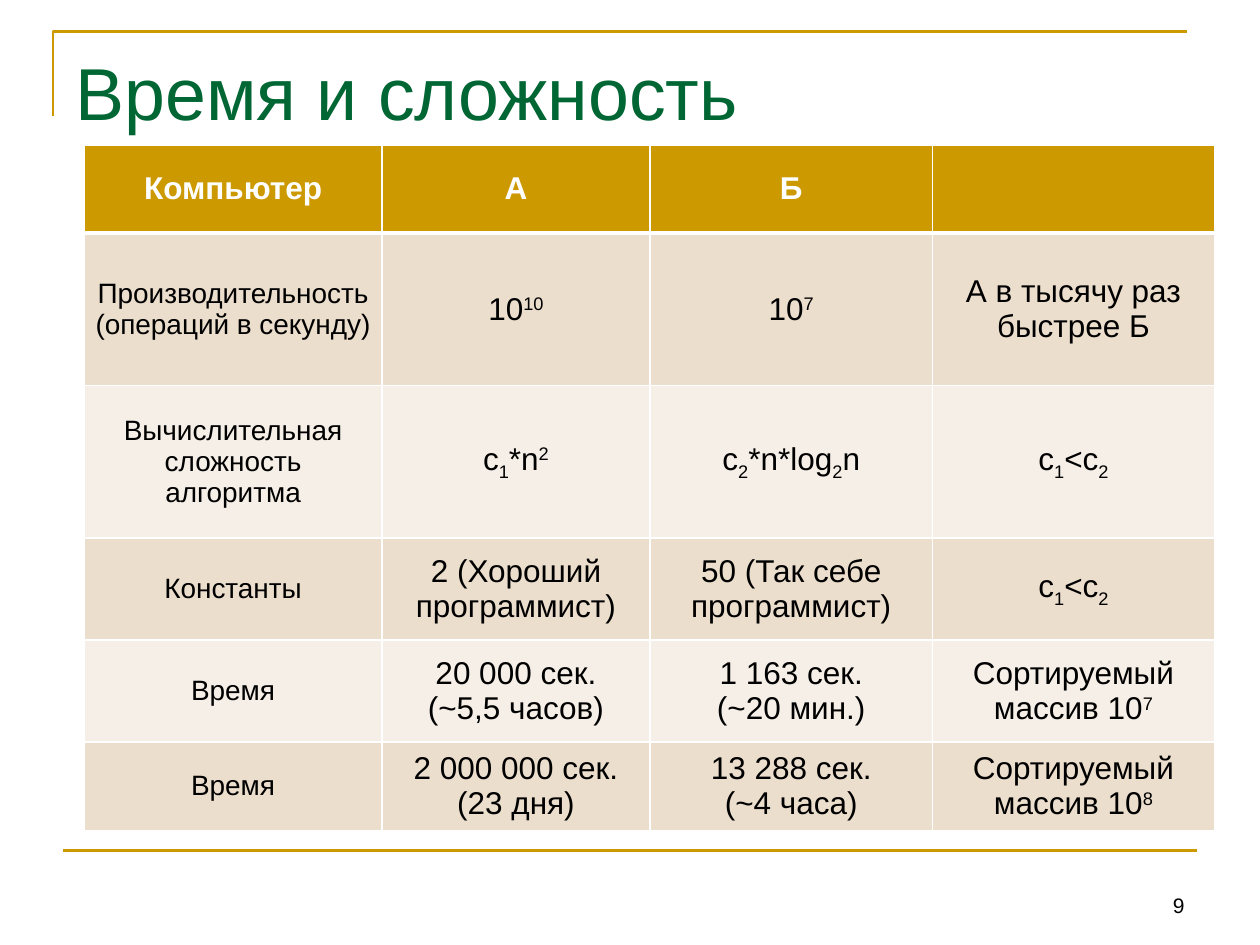
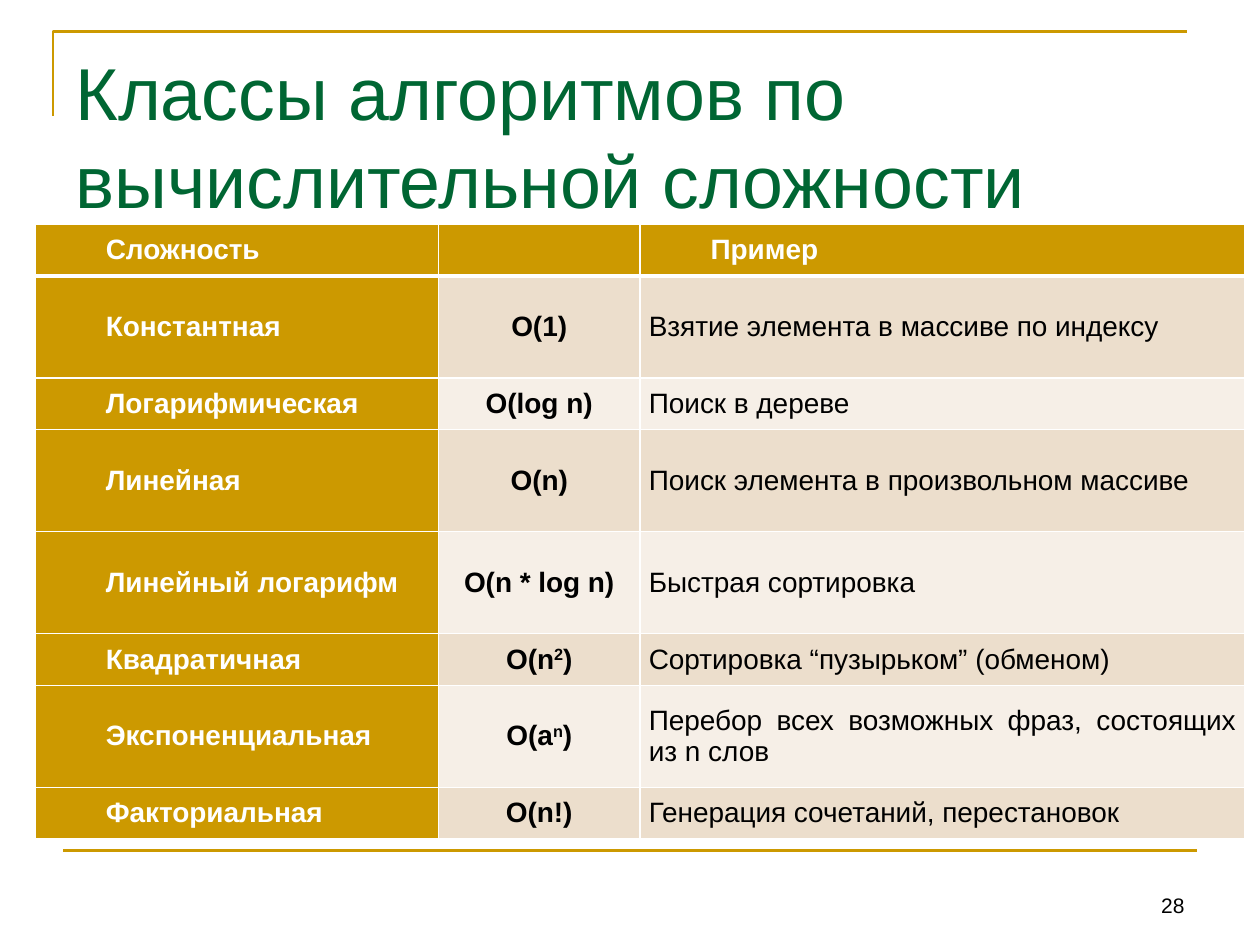
from dataclasses import dataclass
from typing import Optional

import lxml.etree
import pptx
import pptx.dml.color
import pptx.enum.shapes
import pptx.enum.text
import pptx.oxml.ns
import pptx.util

Inches = pptx.util.Inches
Pt = pptx.util.Pt
Align = pptx.enum.text.PP_ALIGN
Anchor = pptx.enum.text.MSO_ANCHOR
qn = pptx.oxml.ns.qn

FONT = "Arial"
GOLD, GREEN, WHITE, BLACK = "CC9900", "006633", "FFFFFF", "000000"
BANDS = ("ECDECC", "F6EFE7")
SUPERSCRIPT, SUBSCRIPT = 30000, -25000


@dataclass(frozen=True)
class TextStyle:
    size: float
    colour: str = BLACK
    bold: bool = False
    align: Align = Align.LEFT
    indent: float = 0
    line_height: Optional[float] = None


@dataclass(frozen=True)
class Column:
    width: float
    header: TextStyle
    body: TextStyle
    fill: Optional[str] = None


@dataclass(frozen=True)
class TableSlide:
    title: str
    number: int
    left: float
    top: float
    columns: list[Column]
    row_heights: list[float]
    rows: list[list[str]]


TITLE = TextStyle(42, GREEN, line_height=50)
PAGE_NUMBER = TextStyle(12, align=Align.RIGHT)

CENTRED_HEADER = TextStyle(18, WHITE, True, Align.CENTER)
ROW_LABEL = TextStyle(16, align=Align.CENTER)
VALUE = TextStyle(18, align=Align.CENTER)

CLASS_NAME = TextStyle(16, WHITE, True, indent=0.49)
EXAMPLE_HEADER = TextStyle(16, WHITE, True, Align.JUSTIFY, 0.49)
BIG_O = TextStyle(16, bold=True, align=Align.CENTER)
EXAMPLE = TextStyle(16, align=Align.JUSTIFY)

# In cell text ^…^ marks a superscript and _…_ a subscript.
SLIDES = [
    TableSlide(
        "Время и сложность", 9, 0.67, 1.15,
        [
            Column(2.36, CENTRED_HEADER, ROW_LABEL),
            Column(2.13, CENTRED_HEADER, VALUE),
            Column(2.24, CENTRED_HEADER, VALUE),
            Column(2.24, CENTRED_HEADER, VALUE),
        ],
        [0.7, 1.21, 1.21, 0.81, 0.81, 0.7],
        [
            ["Компьютер", "А", "Б", ""],
            ["Производительность (операций в секунду)", "10^10^", "10^7^",
             "А в тысячу раз быстрее Б"],
            ["Вычислительная сложность алгоритма", "c_1_*n^2^",
             "c_2_*n*log_2_n", "c_1_<c_2_"],
            ["Константы", "2 (Хороший программист)",
             "50 (Так себе программист)", "c_1_<c_2_"],
            ["Время", "20 000 сек.\n(~5,5 часов)", "1 163 сек.\n(~20 мин.)",
             "Сортируемый массив 10^7^"],
            ["Время", "2 000 000 сек.\n(23 дня)", "13 288 сек.\n(~4 часа)",
             "Сортируемый массив 10^8^"],
        ],
    ),
    TableSlide(
        "Классы алгоритмов по вычислительной сложности", 28, 0.28, 1.78,
        [
            Column(3.2, CLASS_NAME, CLASS_NAME, GOLD),
            Column(1.6, CLASS_NAME, BIG_O),
            Column(4.8, EXAMPLE_HEADER, EXAMPLE),
        ],
        [0.41, 0.81, 0.41, 0.81, 0.81, 0.41, 0.81, 0.41],
        [
            ["Сложность", "", "Пример"],
            ["Константная", "O(1)", "Взятие элемента в массиве по индексу"],
            ["Логарифмическая", "O(log n)", "Поиск в дереве"],
            ["Линейная", "O(n)", "Поиск элемента в произвольном массиве"],
            ["Линейный логарифм", "O(n * log n)", "Быстрая сортировка"],
            ["Квадратичная", "O(n^2^)", "Сортировка “пузырьком” (обменом)"],
            ["Экспоненциальная", "O(a^n^)",
             "Перебор всех возможных фраз, состоящих из n слов"],
            ["Факториальная", "O(n!)", "Генерация сочетаний, перестановок"],
        ],
    ),
]


def rgb(colour: str) -> pptx.dml.color.RGBColor:
    return pptx.dml.color.RGBColor.from_string(colour)


def split_baselines(text: str) -> list[tuple[str, int]]:
    """Split marked text into pieces with their baseline shifts."""
    pieces = []
    for i, outer in enumerate(text.split("^")):
        if i % 2:
            pieces.append((outer, SUPERSCRIPT))
        else:
            pieces += [(inner, SUBSCRIPT if j % 2 else 0)
                       for j, inner in enumerate(outer.split("_"))]
    return [piece for piece in pieces if piece[0]]


def write_text(frame, text: str, style: TextStyle) -> None:
    for i, line in enumerate(text.split("\n")):
        paragraph = frame.add_paragraph() if i else frame.paragraphs[0]
        paragraph.alignment = style.align
        if style.line_height:
            paragraph.line_spacing = Pt(style.line_height)
        if style.indent:
            paragraph._p.get_or_add_pPr().set("indent", str(Inches(style.indent)))
        paragraph.font.size = Pt(style.size)
        for piece, baseline in split_baselines(line):
            run = paragraph.add_run()
            run.text = piece
            run.font.name = FONT
            run.font.size = Pt(style.size)
            run.font.bold = style.bold
            run.font.color.rgb = rgb(style.colour)
            if baseline:
                run._r.get_or_add_rPr().set("baseline", str(baseline))


def add_label(slide, text: str, style: TextStyle, left: float, top: float,
              width: float, height: float, anchor: Anchor,
              top_margin: float = 0.05) -> None:
    box = slide.shapes.add_textbox(
        Inches(left), Inches(top), Inches(width), Inches(height))
    frame = box.text_frame
    frame.word_wrap = True
    frame.vertical_anchor = anchor
    frame.margin_top = Inches(top_margin)
    write_text(frame, text, style)


def style_rule(line) -> None:
    line.color.rgb = rgb(GOLD)
    line.width = Pt(1.5)


def add_frame(slide) -> None:
    """Draw the corner above the title and the rule above the footer."""
    builder = slide.shapes.build_freeform(Inches(0.42), Inches(0.92), scale=1.0)
    builder.add_line_segments(
        [(Inches(0.42), Inches(0.25)), (Inches(9.42), Inches(0.25))], close=False)
    corner = builder.convert_to_shape()
    corner.shadow.inherit = False
    corner.fill.background()
    style_rule(corner.line)

    footer_rule = slide.shapes.add_connector(
        pptx.enum.shapes.MSO_CONNECTOR.STRAIGHT,
        Inches(0.5), Inches(6.75), Inches(9.5), Inches(6.75))
    style_rule(footer_rule.line)
    lxml.etree.SubElement(footer_rule._element.spPr, qn("a:effectLst"))


def add_borders(cell, top: float, bottom: float) -> None:
    properties = cell._tc.get_or_add_tcPr()
    for side, width in (("L", 1), ("R", 1), ("T", top), ("B", bottom)):
        line = lxml.etree.SubElement(
            properties, qn(f"a:ln{side}"), w=str(Pt(width)))
        fill = lxml.etree.SubElement(line, qn("a:solidFill"))
        lxml.etree.SubElement(fill, qn("a:srgbClr"), val=WHITE)


def add_data_table(slide, content: TableSlide) -> None:
    columns, heights = content.columns, content.row_heights
    table = slide.shapes.add_table(
        len(heights), len(columns), Inches(content.left), Inches(content.top),
        Inches(sum(column.width for column in columns)),
        Inches(sum(heights))).table
    table.horz_banding = False
    for i, column in enumerate(columns):
        table.columns[i].width = Inches(column.width)
    for r, (height, texts) in enumerate(zip(heights, content.rows)):
        table.rows[r].height = Inches(height)
        is_header = r == 0
        for c, (column, text) in enumerate(zip(columns, texts)):
            cell = table.cell(r, c)
            add_borders(cell, top=3 if r == 1 else 1, bottom=3 if is_header else 1)
            cell.fill.solid()
            cell.fill.fore_color.rgb = rgb(
                GOLD if is_header else column.fill or BANDS[(r - 1) % 2])
            cell.vertical_anchor = Anchor.MIDDLE
            cell.margin_left = cell.margin_right = Inches(0.07)
            cell.margin_top = cell.margin_bottom = 0
            write_text(cell.text_frame, text,
                       column.header if is_header else column.body)


def add_table_slide(deck, content: TableSlide) -> None:
    slide = deck.slides.add_slide(deck.slide_layouts[6])
    add_frame(slide)
    add_label(slide, content.title, TITLE, 0.5, 0.3, 9, 1.25, Anchor.TOP, 0.08)
    add_data_table(slide, content)
    add_label(slide, str(content.number), PAGE_NUMBER,
              7.17, 6.83, 2.33, 0.5, Anchor.BOTTOM)


def main() -> None:
    deck = pptx.Presentation()
    deck.slide_width, deck.slide_height = Inches(10), Inches(7.5)
    for content in SLIDES:
        add_table_slide(deck, content)
    deck.save("out.pptx")


if __name__ == "__main__":
    main()
